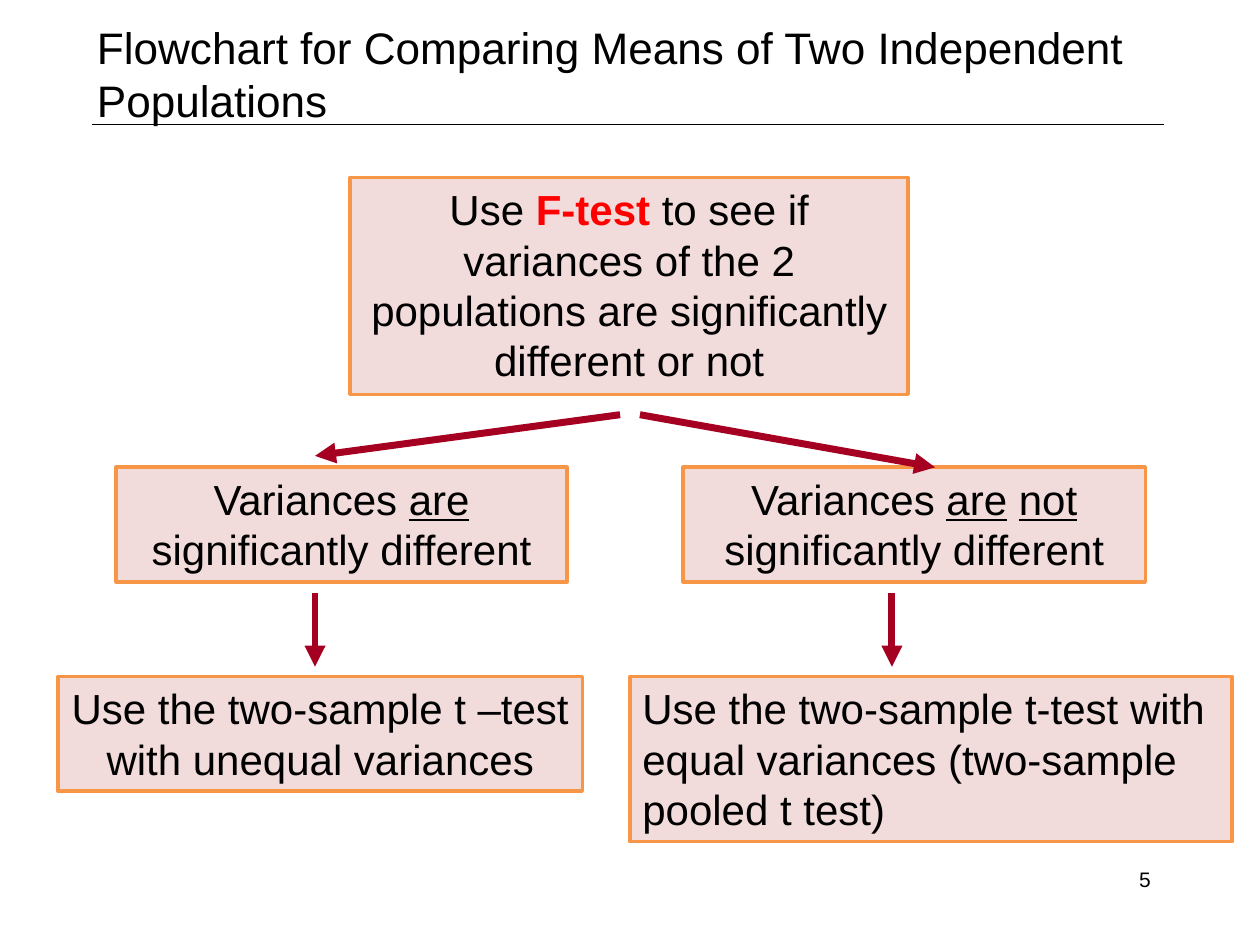
"""Build the flowchart slide for comparing means of two independent populations."""
from dataclasses import dataclass

from lxml.etree import SubElement
from pptx import Presentation
from pptx.dml.color import RGBColor
from pptx.enum.shapes import MSO_CONNECTOR, MSO_SHAPE
from pptx.enum.text import MSO_ANCHOR, PP_ALIGN
from pptx.oxml.ns import qn
from pptx.slide import Slide
from pptx.text.text import Font
from pptx.util import Cm, Pt

BLACK = RGBColor(0x00, 0x00, 0x00)
RED = RGBColor(0xFF, 0x00, 0x00)
CRIMSON = RGBColor(0xA5, 0x00, 0x21)
PINK = RGBColor(0xF2, 0xDC, 0xDB)
ORANGE = RGBColor(0xF7, 0x96, 0x46)

BRANCH_TOP = 9.42
METHOD_TOP = 13.64
TWO_LINES = 2.31


@dataclass(frozen=True)
class Segment:
    text: str
    color: RGBColor = BLACK
    bold: bool = False
    underline: bool = False


@dataclass(frozen=True)
class Step:
    left: float
    top: float
    width: float
    height: float
    segments: tuple[Segment, ...]
    align: PP_ALIGN = PP_ALIGN.CENTER


@dataclass(frozen=True)
class Line:
    start: tuple[float, float]
    end: tuple[float, float]
    color: RGBColor = CRIMSON
    weight: float = 4
    arrow: bool = True


ARE = Segment("are", underline=True)
NOT = Segment("not", underline=True)
DIFFERENT = Segment(" significantly different")

STEPS = (
    Step(7.06, 3.58, 11.25, 4.37, (
        Segment("Use "),
        Segment("F-test", RED, bold=True),
        Segment(" to see if variances of the 2 populations are significantly different or not"),
    )),
    Step(2.34, BRANCH_TOP, 9.09, TWO_LINES, (Segment("Variances "), ARE, DIFFERENT)),
    Step(13.77, BRANCH_TOP, 9.32, TWO_LINES,
         (Segment("Variances "), ARE, Segment(" "), NOT, DIFFERENT)),
    Step(1.17, METHOD_TOP, 10.57, TWO_LINES,
         (Segment("Use the two-sample t –test with unequal variances"),)),
    Step(12.7, METHOD_TOP, 12.14, 3.33,
         (Segment("Use the two-sample t-test with equal variances (two-sample pooled t test)"),),
         PP_ALIGN.LEFT),
)

LINES = (
    Line((1.85, 2.51), (23.47, 2.51), BLACK, 0.25, arrow=False),
    Line((12.5, 8.36), (6.35, 9.19)),
    Line((12.9, 8.36), (18.85, 9.42)),
    Line((6.35, 11.96), (6.35, 13.44)),
    Line((17.98, 11.96), (17.98, 13.44)),
)


def style_font(font: Font, size: float, color: RGBColor = BLACK) -> None:
    font.name = "Arial"
    font.size = Pt(size)
    font.color.rgb = color


def add_title(slide: Slide, wording: str) -> None:
    title = slide.shapes.title
    title.left, title.top, title.width, title.height = Cm(1.7), Cm(0.28), Cm(22.2), Cm(2.24)
    title.text_frame.text = wording
    title.text_frame.vertical_anchor = MSO_ANCHOR.TOP
    paragraph = title.text_frame.paragraphs[0]
    paragraph.alignment = PP_ALIGN.LEFT
    style_font(paragraph.runs[0].font, 25.2)


def add_step(slide: Slide, step: Step) -> None:
    box = slide.shapes.add_shape(
        MSO_SHAPE.RECTANGLE, Cm(step.left), Cm(step.top), Cm(step.width), Cm(step.height))
    box.shadow.inherit = False
    box.fill.solid()
    box.fill.fore_color.rgb = PINK
    box.line.color.rgb = ORANGE
    box.line.width = Pt(2)
    box.text_frame.word_wrap = True
    box.text_frame.vertical_anchor = MSO_ANCHOR.TOP
    paragraph = box.text_frame.paragraphs[0]
    paragraph.alignment = step.align
    for segment in step.segments:
        run = paragraph.add_run()
        run.text = segment.text
        style_font(run.font, 24, segment.color)
        run.font.bold = segment.bold
        run.font.underline = segment.underline


def add_line(slide: Slide, line: Line) -> None:
    connector = slide.shapes.add_connector(
        MSO_CONNECTOR.STRAIGHT, *map(Cm, line.start), *map(Cm, line.end))
    connector.line.color.rgb = line.color
    connector.line.width = Pt(line.weight)
    if line.arrow:
        SubElement(connector.line._get_or_add_ln(), qn("a:tailEnd"), type="triangle")
    SubElement(connector._element.spPr, qn("a:effectLst"))


def add_page_number(slide: Slide, number: int) -> None:
    page = slide.shapes.add_textbox(Cm(17.53), Cm(17.35), Cm(5.92), Cm(1.02))
    page.text_frame.word_wrap = True
    page.text_frame.text = str(number)
    paragraph = page.text_frame.paragraphs[0]
    paragraph.alignment = PP_ALIGN.RIGHT
    style_font(paragraph.runs[0].font, 12)


def main() -> None:
    presentation = Presentation()
    presentation.slide_width, presentation.slide_height = Cm(25.4), Cm(19.05)
    slide = presentation.slides.add_slide(presentation.slide_layouts[5])
    add_title(slide, "Flowchart for Comparing Means of Two Independent Populations")
    for step in STEPS:
        add_step(slide, step)
    for line in LINES:
        add_line(slide, line)
    add_page_number(slide, 5)
    presentation.save("out.pptx")


if __name__ == "__main__":
    main()
